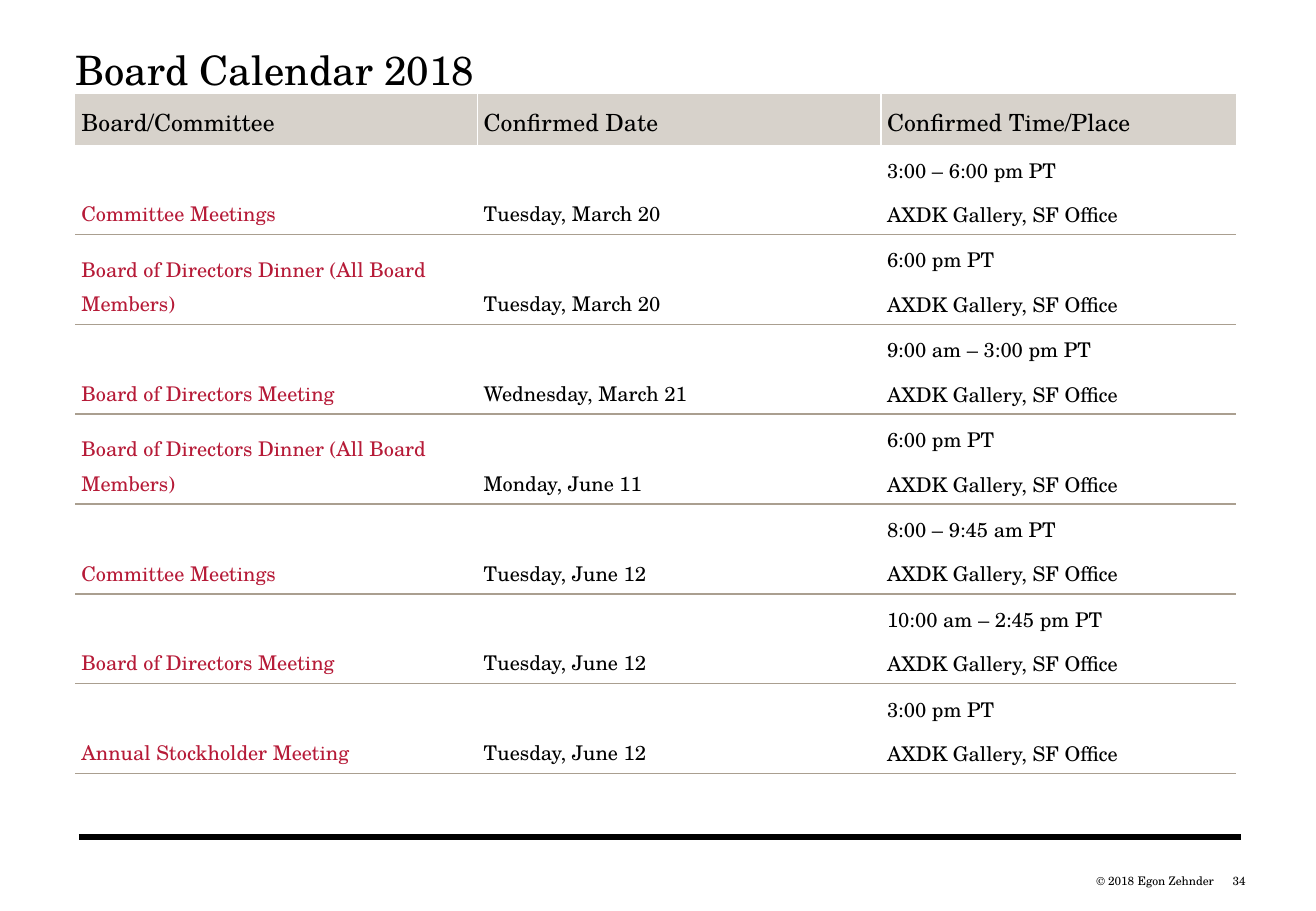
from lxml.etree import SubElement
from pptx import Presentation
from pptx.dml.color import RGBColor
from pptx.enum.shapes import MSO_CONNECTOR
from pptx.enum.text import MSO_ANCHOR, PP_ALIGN
from pptx.oxml.ns import qn
from pptx.util import Inches, Pt

BLACK = RGBColor(0x00, 0x00, 0x00)
WHITE = RGBColor(0xFF, 0xFF, 0xFF)
RED = RGBColor(0xB6, 0x1A, 0x37)
SAND = RGBColor(0xD7, 0xD2, 0xCB)
TAUPE = RGBColor(0xAA, 0x9F, 0x90)
FONT = "TeX Gyre Schola"

TITLE = "Board Calendar 2018"
CREDIT = "© 2018 Egon Zehnder"
PAGE = "34"
PLACE = "AXDK Gallery, SF Office"
DINNER = "Board of Directors Dinner (All Board Members)"
HEADS = ("Board/Committee", "Confirmed Date", "Confirmed Time/Place")
EVENTS = [
    ("Committee Meetings", "Tuesday, March 20", "3:00 – 6:00 pm PT"),
    (DINNER, "Tuesday, March 20", "6:00 pm PT"),
    ("Board of Directors Meeting", "Wednesday, March 21", "9:00 am – 3:00 pm PT"),
    (DINNER, "Monday, June 11", "6:00 pm PT"),
    ("Committee Meetings", "Tuesday, June 12", "8:00 – 9:45 am PT"),
    ("Board of Directors Meeting", "Tuesday, June 12", "10:00 am – 2:45 pm PT"),
    ("Annual Stockholder Meeting", "Tuesday, June 12", "3:00 pm PT"),
]

LEFT, TOP = 0.62, 0.77
WIDTHS = (3.31, 3.32, 2.92)
HEAD_H, ROW_H = 0.42, 0.74
PAD = 0.05


def style(para, size, color=BLACK, **form):
    for name, value in form.items():
        setattr(para, name, value)
    for name, value in {"name": FONT, "size": Pt(size)}.items():
        setattr(para.font, name, value)
    para.font.color.rgb = color


def set_frame(frame, pads, **form):
    """Set left, top, right and bottom margins, then other frame values."""
    for side, pad in zip(("left", "top", "right", "bottom"), pads):
        setattr(frame, f"margin_{side}", Inches(pad))
    for name, value in form.items():
        setattr(frame, name, value)


def add_text(slide, text, box, pads, size, align, **form):
    frame = slide.shapes.add_textbox(*map(Inches, box)).text_frame
    set_frame(frame, pads, **form)
    frame.text = text
    style(frame.paragraphs[0], size, alignment=align)


def set_edges(cell, colors):
    """Draw the given sides of a cell and hide the others."""
    props = cell._tc.get_or_add_tcPr()
    for side in "LRTB":
        line = SubElement(props, qn(f"a:ln{side}"), w=str(Pt(1)))
        if side in colors:
            fill = SubElement(line, qn("a:solidFill"))
            SubElement(fill, qn("a:srgbClr"), val=str(colors[side]))
        else:
            SubElement(line, qn("a:noFill"))


def fill_cell(cell, lines, size, color, after):
    set_frame(cell, [PAD] * 4, vertical_anchor=MSO_ANCHOR.BOTTOM)
    cell.text = "\n".join(lines)
    for para in cell.text_frame.paragraphs:
        style(para, size, color, line_spacing=1.15, space_after=Pt(after))


def add_calendar(slide):
    height = HEAD_H + ROW_H * len(EVENTS)
    box = map(Inches, (LEFT, TOP, sum(WIDTHS), height))
    table = slide.shapes.add_table(len(EVENTS) + 1, len(HEADS), *box).table
    table.first_row = table.horz_banding = False
    for col, width in zip(table.columns, WIDTHS):
        col.width = Inches(width)
    for num, row in enumerate(table.rows):
        row.height = Inches(ROW_H if num else HEAD_H)

    last = len(HEADS) - 1
    for col, head in enumerate(HEADS):
        cell = table.cell(0, col)
        sides = ("L" if col else "") + ("R" if col < last else "")
        set_edges(cell, dict.fromkeys(sides, WHITE))
        cell.fill.solid()
        cell.fill.fore_color.rgb = SAND
        fill_cell(cell, [head], 14, BLACK, 10)

    for num, (name, date, time) in enumerate(EVENTS, 1):
        parts = (([name], RED, 10), ([date], BLACK, 10), ([time, PLACE], BLACK, 6))
        for col, (lines, color, after) in enumerate(parts):
            cell = table.cell(num, col)
            edges = {"B": TAUPE}
            if num > 1:
                edges["T"] = TAUPE
            set_edges(cell, edges)
            cell.fill.background()
            fill_cell(cell, lines, 12, color, after)


def add_rule(slide):
    ends = map(Inches, (0.65, 6.89, 10.21, 6.89))
    rule = slide.shapes.add_connector(MSO_CONNECTOR.STRAIGHT, *ends)
    rule.line.color.rgb = BLACK
    rule.line.width = Pt(4)
    SubElement(rule._element.spPr, qn("a:effectLst"))


def main():
    deck = Presentation()
    deck.slide_width, deck.slide_height = Inches(10.83), Inches(7.5)
    slide = deck.slides.add_slide(deck.slide_layouts[6])
    add_rule(slide)
    add_text(slide, PAGE, (10, 7.14, 0.35, 0.22), (0.1, PAD, 0.1, PAD),
             7, PP_ALIGN.RIGHT, word_wrap=False)
    add_text(slide, CREDIT, (8.92, 7.14, 1.07, 0.22), (0.1, PAD, 0, PAD),
             7, PP_ALIGN.RIGHT, word_wrap=False)
    add_text(slide, TITLE, (LEFT, 0.32, 9.56, 0.45), [0] * 4, 24, PP_ALIGN.LEFT,
             word_wrap=True, vertical_anchor=MSO_ANCHOR.BOTTOM)
    add_calendar(slide)
    deck.save("out.pptx")


if __name__ == "__main__":
    main()
